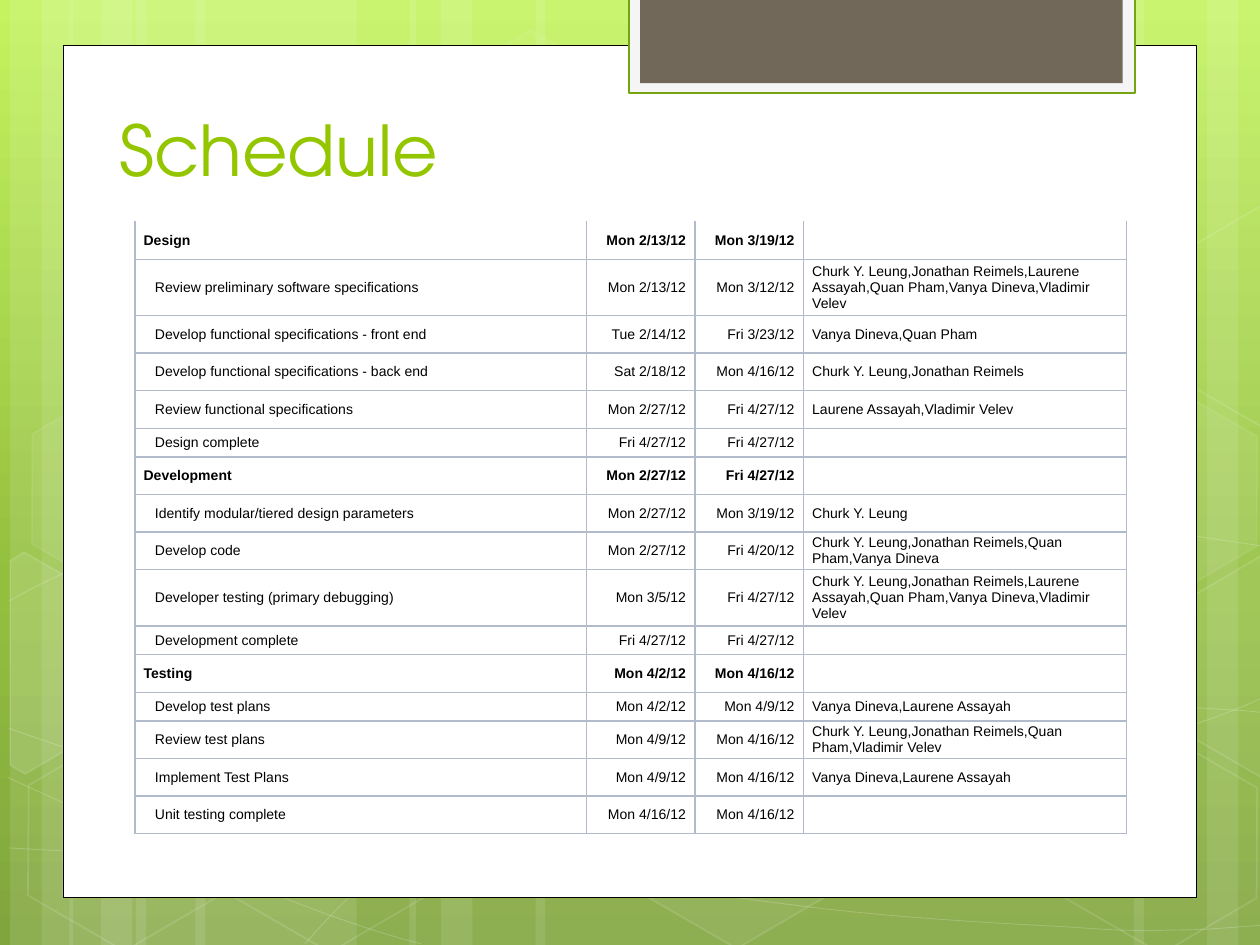
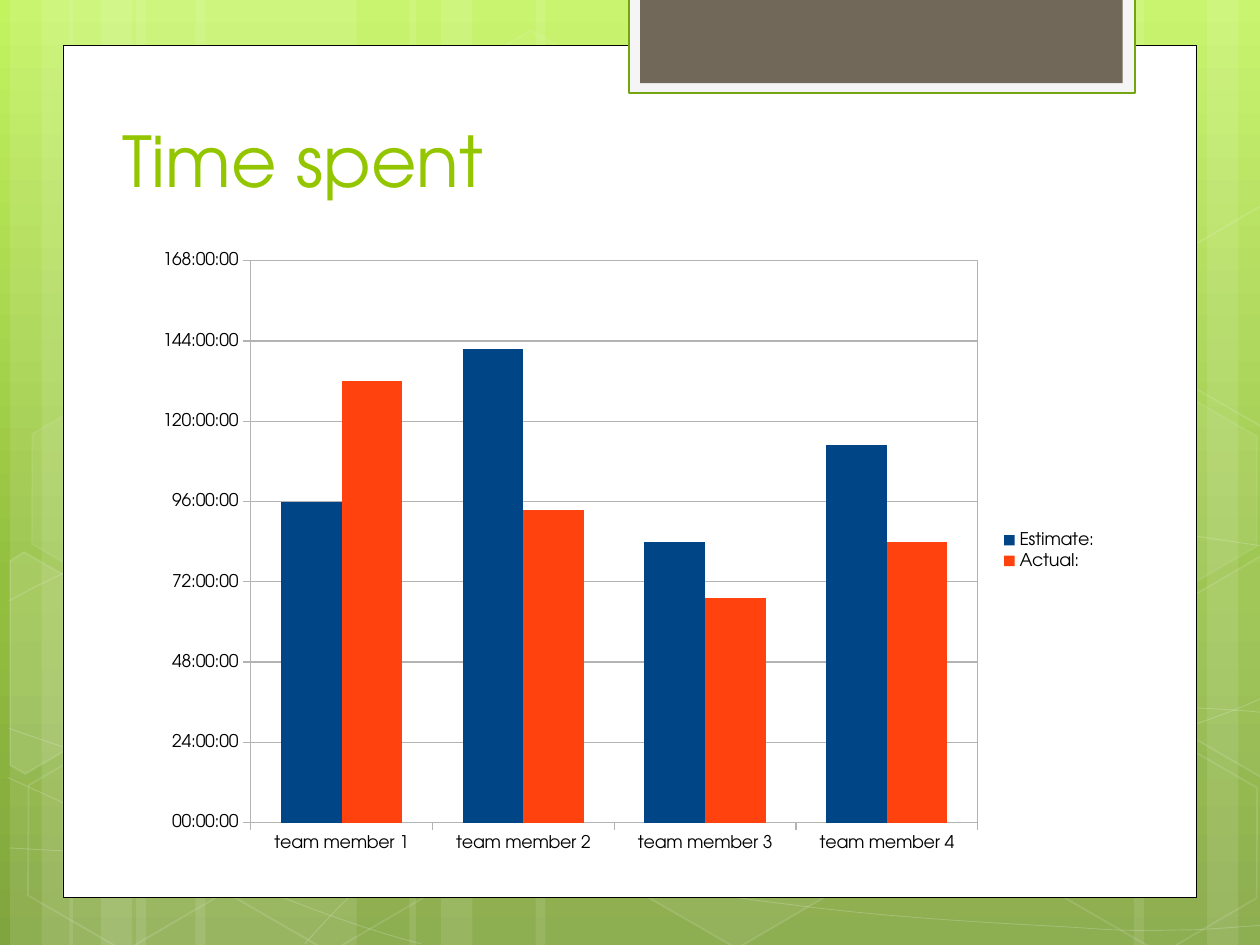
"""Build a two-slide project review: a schedule table and a time chart."""
from dataclasses import dataclass
from math import cos, radians, sin

from lxml import etree
from pptx import Presentation
from pptx.chart.data import CategoryChartData
from pptx.dml.color import RGBColor
from pptx.enum.chart import XL_CHART_TYPE, XL_LEGEND_POSITION, XL_TICK_MARK
from pptx.enum.shapes import MSO_SHAPE
from pptx.enum.text import MSO_ANCHOR, MSO_AUTO_SIZE, PP_ALIGN
from pptx.oxml import parse_xml
from pptx.oxml.ns import nsdecls, qn
from pptx.util import Inches, Pt

RECTANGLE, HEXAGON = MSO_SHAPE.RECTANGLE, MSO_SHAPE.HEXAGON
LEFT, RIGHT = PP_ALIGN.LEFT, PP_ALIGN.RIGHT
MIDDLE, BOTTOM = MSO_ANCHOR.MIDDLE, MSO_ANCHOR.BOTTOM
COLUMNS = XL_CHART_TYPE.COLUMN_CLUSTERED
LEGEND_RIGHT = XL_LEGEND_POSITION.RIGHT
OUTSIDE = XL_TICK_MARK.OUTSIDE
TITLE_ONLY = 5


@dataclass(frozen=True)
class Theme:
    """Colours, fonts and type sizes of the deck."""
    backdrop: tuple = ((0, "C3F35F"), (62, "93BF3F"), (100, "81A53E"))
    white: str = "FFFFFF"
    black: str = "000000"
    title: str = "94C600"
    tab: str = "71685A"
    tab_edge: str = "F5F5F5"
    tab_line: str = "74A510"
    table_line: str = "B1BBCC"
    chart_line: str = "B3B3B3"
    series: tuple = ("004586", "FF420E")
    display_font: str = "TeX Gyre Adventor"
    table_font: str = "Arial"
    title_size: int = 40
    table_size: int = 8
    chart_size: int = 10


THEME = Theme()

# Left edge and width of each full-height stripe
STRIPES = ((1.08, 1.75), (0.08, 0.5), (0.33, 0.83), (1.55, 1.75), (0.55, 0.5),
           (0.8, 0.83), (7.33, 1.75), (9.58, 0.5), (9, 0.83), (4.25, 3.08),
           (3.25, 0.5), (3.5, 0.83))
# Start point, then three points for each cubic segment
CURVES = (
    ((0.07, 6.73), (0.61, 6.76), (1.15, 6.79), (1.9, 6.78), (2.65, 6.77), (3.58, 6.75),
     (4.58, 6.65), (5.58, 6.55), (7, 6.36), (7.92, 6.17), (8.83, 5.98), (9.77, 5.68),
     (10.07, 5.51)),
    ((0.07, 4.77), (0.36, 4.61), (0.65, 4.46), (1.21, 4.31), (1.78, 4.16), (2.59, 3.94),
     (3.47, 3.87), (4.36, 3.8), (5.44, 3.79), (6.54, 3.87), (7.64, 3.95), (9.47, 4.26),
     (10.07, 4.34)),
    ((0.06, 6.17), (1.27, 6.72), (2.47, 7.27), (3.34, 7.49)),
    ((0.07, 5.78), (0.38, 5.89), (0.7, 6), (1.28, 6.16), (1.86, 6.31), (2.73, 6.56),
     (3.57, 6.73), (4.4, 6.9), (5.45, 7.08), (6.28, 7.18), (7.11, 7.29), (8, 7.33),
     (8.53, 7.36), (9.05, 7.4), (9.19, 7.38), (9.45, 7.38), (9.71, 7.37), (9.89, 7.35),
     (10.07, 7.34)),
    ((2.42, 7.49), (2.6, 7.29), (2.78, 7.09), (3.02, 6.91), (3.26, 6.73), (3.6, 6.53),
     (3.88, 6.39), (4.16, 6.25), (4.33, 6.19), (4.7, 6.09), (5.06, 5.99), (5.73, 5.85),
     (6.08, 5.78), (6.44, 5.71), (6.49, 5.71), (6.8, 5.69), (7.11, 5.66), (7.6, 5.63),
     (7.94, 5.62), (8.29, 5.61), (8.86, 5.62), (8.86, 5.62), (8.86, 5.62), (9.53, 5.62),
     (9.53, 5.62), (9.71, 5.63), (9.88, 5.64), (9.97, 5.65), (10.06, 5.66), (10.03, 5.65),
     (10.06, 5.66)),
)
# Left, top, fill opacity and line opacity; no fill where the opacity is 0
HEXAGONS = ((3.34, 0.36, 4, 8), (4.97, 5.89, 6, 12), (0.11, 5.91, 0, 12),
            (0.14, 3.12, 7, 8), (1.74, 5.92, 0, 12), (7.53, 4.53, 10, 12),
            (8.34, 5.93, 0, 12), (8.34, 3.14, 7, 8))
# Centre, fill opacity and outline of the hexagons cut off at the slide edge
CUT_HEXAGONS = (
    ((0.36, 5.35), 10, ((0.08, 4.45), (0.19, 4.38), (0.96, 4.82), (0.95, 5.7),
                        (0.2, 6.14), (0.08, 6.07))),
    ((9.85, 5.2), 4, ((9.26, 4.85), (10.01, 4.41), (10.09, 4.46), (10.09, 6.13),
                      (10.02, 6.17), (9.26, 5.73))),
    ((9.85, 2.41), 0, ((9.26, 2.07), (10.01, 1.63), (10.1, 1.68), (10.09, 3.35),
                       (10.02, 3.39), (9.26, 2.95))),
)
TILT = 30

EVERYONE = ("Churk Y. Leung,Jonathan Reimels,Laurene Assayah,Quan Pham,"
            "Vanya Dineva,Vladimir Velev")
TABLE_PLACE = (1.07, 1.76, 7.87, 4.86)
COLUMN_WIDTHS = (3.58, 0.86, 0.86, 2.56)
# Relative height, task, start, finish, people; a phase has no people (None)
SCHEDULE = (
    (0.3, "Design", "Mon 2/13/12", "Mon 3/19/12", None),
    (0.45, "Review preliminary software specifications", "Mon 2/13/12", "Mon 3/12/12", EVERYONE),
    (0.3, "Develop functional specifications - front end", "Tue 2/14/12", "Fri 3/23/12",
     "Vanya Dineva,Quan Pham"),
    (0.3, "Develop functional specifications - back end", "Sat 2/18/12", "Mon 4/16/12",
     "Churk Y. Leung,Jonathan Reimels"),
    (0.3, "Review functional specifications", "Mon 2/27/12", "Fri 4/27/12",
     "Laurene Assayah,Vladimir Velev"),
    (0.23, "Design complete", "Fri 4/27/12", "Fri 4/27/12", ""),
    (0.3, "Development", "Mon 2/27/12", "Fri 4/27/12", None),
    (0.3, "Identify modular/tiered design parameters", "Mon 2/27/12", "Mon 3/19/12",
     "Churk Y. Leung"),
    (0.3, "Develop code", "Mon 2/27/12", "Fri 4/20/12",
     "Churk Y. Leung,Jonathan Reimels,Quan Pham,Vanya Dineva"),
    (0.45, "Developer testing (primary debugging)", "Mon 3/5/12", "Fri 4/27/12", EVERYONE),
    (0.23, "Development complete", "Fri 4/27/12", "Fri 4/27/12", ""),
    (0.3, "Testing", "Mon 4/2/12", "Mon 4/16/12", None),
    (0.23, "Develop test plans", "Mon 4/2/12", "Mon 4/9/12", "Vanya Dineva,Laurene Assayah"),
    (0.3, "Review test plans", "Mon 4/9/12", "Mon 4/16/12",
     "Churk Y. Leung,Jonathan Reimels,Quan Pham,Vladimir Velev"),
    (0.3, "Implement Test Plans", "Mon 4/9/12", "Mon 4/16/12", "Vanya Dineva,Laurene Assayah"),
    (0.3, "Unit testing complete", "Mon 4/16/12", "Mon 4/16/12", ""),
)
CHART_PLACE = (1.14, 1.9, 7.67, 4.94)
PLOT_PLACE = (1.99, 2.07, 5.77, 4.46)
MEMBERS = [f"team member {number}" for number in range(1, 5)]
DAYS_SPENT = {"Estimate:": (4, 5.9, 3.5, 4.7), "Actual:": (5.5, 3.9, 2.8, 3.5)}


def rgb(code):
    """Turn a hex code into a colour."""
    return RGBColor.from_string(code)


def inches(*lengths):
    """Convert several lengths at once."""
    return [Inches(length) for length in lengths]


def set_font(font, name, size, color, bold=False):
    """Format a font."""
    font.name, font.size, font.bold = name, Pt(size), bold
    font.color.rgb = rgb(color)


def set_line(line, color, width):
    """Give a line its colour and width in points."""
    line.color.rgb = rgb(color)
    line.width = Pt(width)


def paint(shape, fill=None, line=None, width=1, fill_alpha=100, line_alpha=100):
    """Set fill, outline and opacity (percent) of a shape without shadow."""
    shape.shadow.inherit = False
    if fill and fill_alpha:
        shape.fill.solid()
        shape.fill.fore_color.rgb = rgb(fill)
    else:
        shape.fill.background()
    if line:
        set_line(shape.line, line, width)
    else:
        shape.line.fill.background()
    properties = shape.element.spPr
    for place, alpha in (("a:solidFill", fill_alpha), ("a:ln/a:solidFill", line_alpha)):
        solid = properties.find(place, {"a": properties.nsmap["a"]})
        if solid is not None and alpha < 100:
            etree.SubElement(solid[0], qn("a:alpha"), val=str(alpha * 1000))


def add_outline(shapes, points, close):
    """Add a freeform through points given in inches."""
    start, *rest = [inches(*point) for point in points]
    builder = shapes.build_freeform(*start)
    builder.add_line_segments(rest, close=close)
    return builder.convert_to_shape()


def bend(outline):
    """Join each three straight segments into one cubic curve."""
    segments = list(outline.element.iter(qn("a:lnTo")))
    for first in range(0, len(segments), 3):
        curve = etree.Element(qn("a:cubicBezTo"))
        segments[first].addprevious(curve)
        for segment in segments[first:first + 3]:
            curve.append(segment[0])
            segment.getparent().remove(segment)


def turn_back(points, center):
    """Undo the tilt of points around a centre."""
    c, s = cos(radians(TILT)), sin(radians(TILT))
    offsets = [(x - center[0], y - center[1]) for x, y in points]
    return [(center[0] + c * x + s * y, center[1] - s * x + c * y) for x, y in offsets]


def add_backdrop(slide):
    """Add the group of pale stripes, curves and hexagons."""
    shapes, white = slide.shapes.add_group_shape().shapes, THEME.white
    for left, width in STRIPES:
        stripe = shapes.add_shape(RECTANGLE, *inches(left, 0, width, 7.5))
        paint(stripe, white, fill_alpha=10)
    for points in CURVES:
        curve = add_outline(shapes, points, close=False)
        bend(curve)
        paint(curve, line=white, width=0.5, line_alpha=20)
    for center, alpha, points in CUT_HEXAGONS:
        outline = add_outline(shapes, turn_back(points, center), close=True)
        outline.rotation = TILT
        paint(outline, white, white, 1, alpha, 12)
    for left, top, alpha, line_alpha in HEXAGONS:
        hexagon = shapes.add_shape(HEXAGON, *inches(left, top, 1.75, 1.52))
        hexagon.adjustments[0] = 0.285
        hexagon.rotation = TILT
        paint(hexagon, white, white, 1, alpha, line_alpha)


def add_panels(slide):
    """Add the white sheet and the tab at its top."""
    for place, fill, line, width in (
            ((0.5, 0.36, 9, 6.76), THEME.white, THEME.black, 0.5),
            ((4.99, -0.02, 4.02, 0.76), THEME.tab_edge, THEME.tab_line, 1.25),
            ((5.08, -0.02, 3.83, 0.68), THEME.tab, None, 0)):
        paint(slide.shapes.add_shape(RECTANGLE, *inches(*place)), fill, line, width)


def dress_layout(layout, slide):
    """Draw the shared decoration on a slide and move it to the layout."""
    fill = layout.background.fill
    fill.gradient()
    fill.gradient_angle = 270
    stops = next(layout.element.iter(qn("a:gsLst")))
    stops.clear()
    for position, color in THEME.backdrop:
        stop = etree.SubElement(stops, qn("a:gs"), pos=str(position * 1000))
        etree.SubElement(stop, qn("a:srgbClr"), val=color)
    add_backdrop(slide)
    add_panels(slide)
    tree = layout.shapes.element
    for footer in list(layout.placeholders)[1:]:
        tree.remove(footer.element)
    decoration = [shape for shape in slide.shapes if not shape.is_placeholder]
    for index, shape in enumerate(decoration, 2):
        tree.insert(index, shape.element)
    for number, properties in enumerate(tree.iter(qn("p:cNvPr")), 1):
        properties.set("id", str(number))


def set_title(slide, text, left, top):
    """Place and format the slide title."""
    title = slide.shapes.title
    title.left, title.top, title.width, title.height = inches(left, top, 7.68, 1.25)
    frame = title.text_frame
    frame.auto_size, frame.vertical_anchor = MSO_AUTO_SIZE.NONE, BOTTOM
    para = frame.paragraphs[0]
    para.alignment = LEFT
    span = para.add_run()
    span.text = text
    set_font(span.font, THEME.display_font, THEME.title_size, THEME.title)


def border_cell(cell, sides):
    """Draw the borders of a cell on the given sides (L, R, T, B in order)."""
    for index, side in enumerate(sides):
        line = parse_xml(f'<a:ln{side} {nsdecls("a")} w="{Pt(1)}"><a:solidFill>'
                         f'<a:srgbClr val="{THEME.table_line}"/></a:solidFill></a:ln{side}>')
        cell._tc.get_or_add_tcPr().insert(index, line)


def fill_cell(cell, text, alignment, bold, indent):
    """Write and format one table cell."""
    cell.fill.solid()
    cell.fill.fore_color.rgb = rgb(THEME.white)
    cell.vertical_anchor = MIDDLE
    cell.margin_left = cell.margin_right = Inches(0.07)
    cell.margin_top = cell.margin_bottom = 0
    para = cell.text_frame.paragraphs[0]
    para.alignment = alignment
    if indent:
        para._p.get_or_add_pPr().set("marL", str(Inches(indent)))
    if text:
        span = para.add_run()
        span.text = text
        set_font(span.font, THEME.table_font, THEME.table_size, THEME.black, bold)
    else:
        etree.SubElement(para._p, qn("a:endParaRPr"), sz=str(THEME.table_size * 100))


def add_schedule(slide):
    """Add the schedule table, with phases in bold and tasks indented."""
    table = slide.shapes.add_table(len(SCHEDULE), len(COLUMN_WIDTHS),
                                   *inches(*TABLE_PLACE)).table
    table.first_row = table.horz_banding = False
    for column, width in zip(table.columns, COLUMN_WIDTHS):
        column.width = Inches(width * TABLE_PLACE[2] / sum(COLUMN_WIDTHS))
    total = sum(row[0] for row in SCHEDULE)
    for index, (height, *texts) in enumerate(SCHEDULE):
        table.rows[index].height = Inches(height * TABLE_PLACE[3] / total)
        phase = texts[-1] is None
        for position, text in enumerate(texts):
            cell = table.cell(index, position)
            indent = 0.09 if position == 0 and not phase else 0
            fill_cell(cell, text, RIGHT if position in (1, 2) else LEFT, phase, indent)
            border_cell(cell, "LRTB" if index else "LRB")


def format_plot_area(chart):
    """Fix the inner plot area and give it a white fill and a thin frame."""
    area = chart._chartSpace.chart.plotArea
    for layout in area.findall(qn("c:layout")):
        area.remove(layout)
    left, top, width, height = CHART_PLACE
    x, y, w, h = PLOT_PLACE
    places = "".join(f'<c:{name} val="{value}"/>' for name, value in (
        ("layoutTarget", "inner"), ("xMode", "edge"), ("yMode", "edge"),
        ("x", (x - left) / width), ("y", (y - top) / height),
        ("w", w / width), ("h", h / height)))
    area.insert(0, parse_xml(f'<c:layout {nsdecls("c")}><c:manualLayout>{places}'
                             '</c:manualLayout></c:layout>'))
    fill, line = (f'<a:solidFill><a:srgbClr val="{color}"/></a:solidFill>'
                  for color in (THEME.white, THEME.chart_line))
    area.append(parse_xml(f'<c:spPr {nsdecls("c", "a")}>{fill}'
                          f'<a:ln w="{Pt(0.75)}">{line}</a:ln></c:spPr>'))


def add_time_chart(slide):
    """Add the column chart of estimated and actual time."""
    data = CategoryChartData(number_format="[hh]:mm:ss")
    data.categories = MEMBERS
    for name, values in DAYS_SPENT.items():
        data.add_series(name, values)
    chart = slide.shapes.add_chart(COLUMNS, *inches(*CHART_PLACE), data).chart
    set_font(chart.font, THEME.display_font, THEME.chart_size, THEME.black)
    chart.has_title = False
    chart.has_legend = True
    chart.legend.position, chart.legend.include_in_layout = LEGEND_RIGHT, False
    plot = chart.plots[0]
    plot.gap_width, plot.overlap, plot.vary_by_categories = 100, 0, False
    for series, color in zip(plot.series, THEME.series):
        series.format.fill.solid()
        series.format.fill.fore_color.rgb = rgb(color)
    days = chart.value_axis
    days.minimum_scale, days.maximum_scale, days.major_unit = 0, 7, 1
    days.tick_labels.number_format = "[hh]:mm:ss"
    days.tick_labels.number_format_is_linked = False
    for axis in (chart.category_axis, days):
        axis.major_tick_mark = OUTSIDE
        set_line(axis.format.line, THEME.chart_line, 0.75)
    set_line(days.major_gridlines.format.line, THEME.chart_line, 0.75)
    format_plot_area(chart)


def main():
    """Build and save the deck."""
    deck = Presentation()
    deck.slide_width, deck.slide_height = inches(10, 7.5)
    layout = deck.slide_layouts[TITLE_ONLY]
    schedule, time_spent = (deck.slides.add_slide(layout) for _ in range(2))
    dress_layout(layout, schedule)
    set_title(schedule, "Schedule", 0.85, 0.31)
    add_schedule(schedule)
    set_title(time_spent, "Time spent", 0.87, 0.4)
    add_time_chart(time_spent)
    deck.save("out.pptx")


main()
